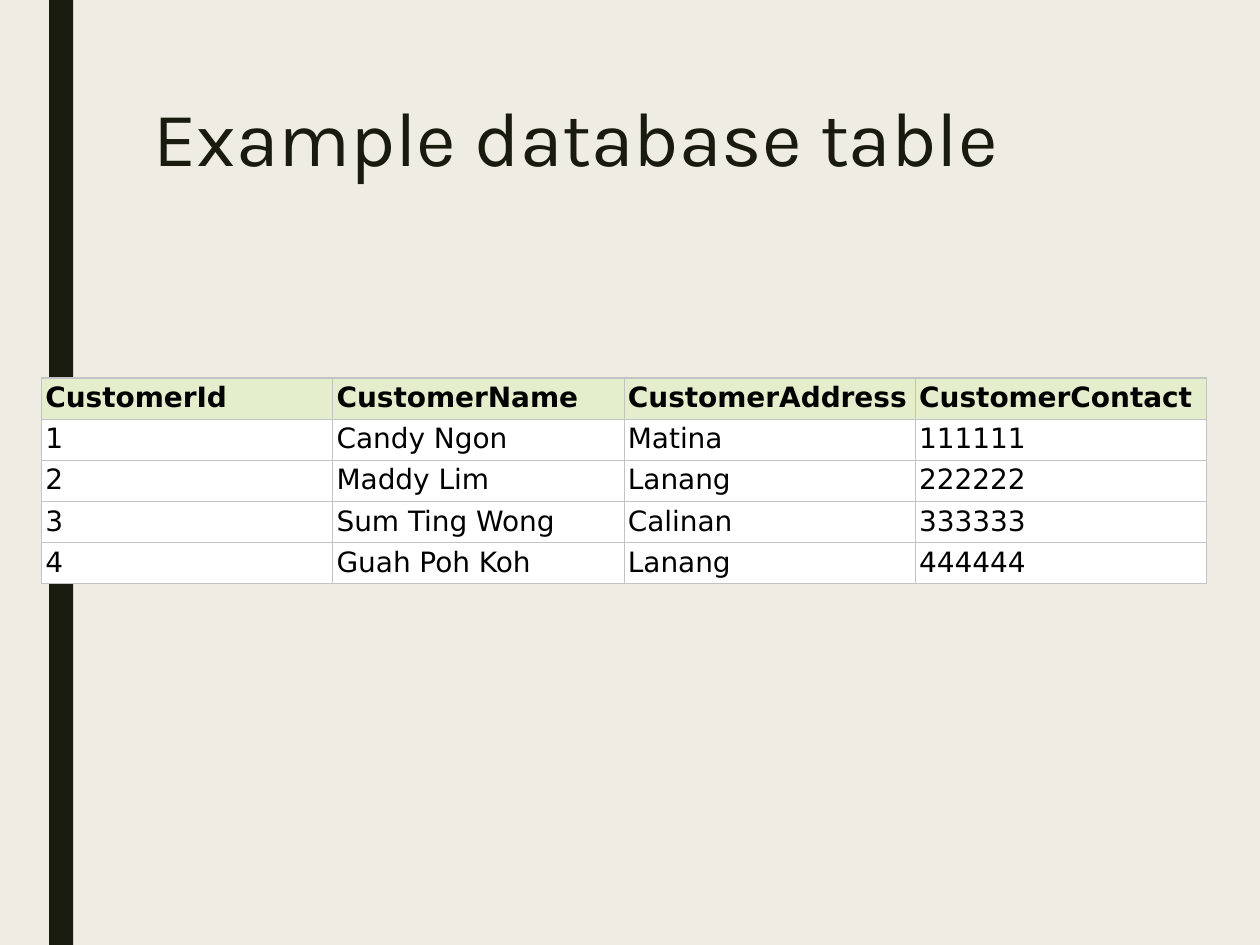
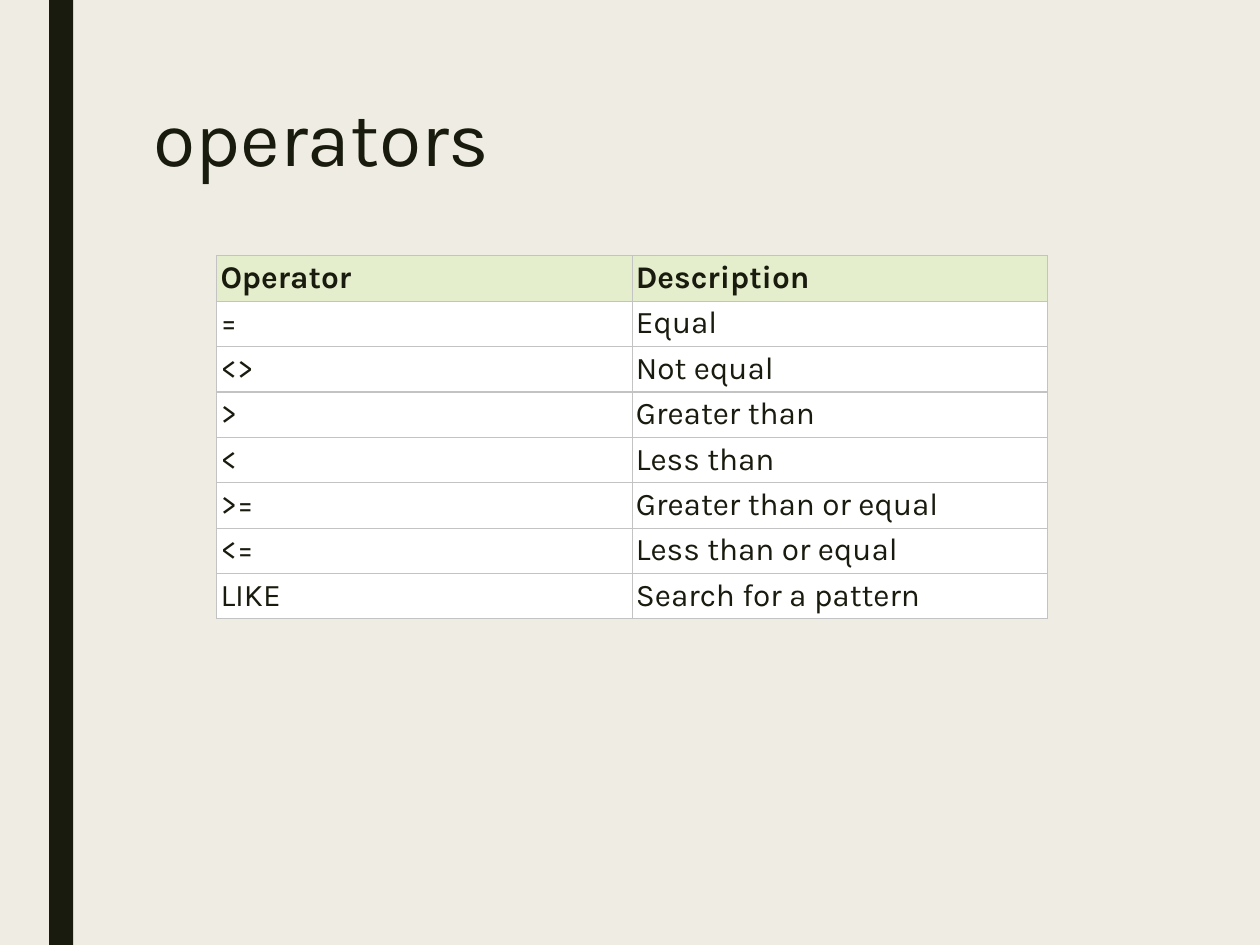
"""Builds two slides that show a database table and the SQL operators."""
from lxml.etree import SubElement
from pptx import Presentation
from pptx.dml.color import RGBColor
from pptx.enum.shapes import MSO_SHAPE as Shape
from pptx.enum.text import MSO_ANCHOR as Anchor
from pptx.oxml import parse_xml
from pptx.oxml.ns import nsdecls, qn
from pptx.util import Inches, Pt

PAPER = RGBColor(0xEF, 0xED, 0xE3)
INK = RGBColor(0x19, 0x1B, 0x0E)
BLACK = RGBColor(0x00, 0x00, 0x00)
WHITE = RGBColor(0xFF, 0xFF, 0xFF)
HEADER = RGBColor(0xE5, 0xEE, 0xCC)
BORDER = RGBColor(0xC3, 0xC3, 0xC3)

UNIT = Inches(0.1)
COLUMNS, ROWS = 100, 75
CELL_MARGIN = Inches(0.03)
BORDER_WIDTH = Pt(0.75)

CUSTOMERS = [
    ("CustomerId", "CustomerName", "CustomerAddress", "CustomerContact"),
    ("1", "Candy Ngon", "Matina", "111111"),
    ("2", "Maddy Lim", "Lanang", "222222"),
    ("3", "Sum Ting Wong", "Calinan", "333333"),
    ("4", "Guah Poh Koh", "Lanang", "444444"),
]
OPERATORS = [
    ("Operator", "Description"),
    ("=", "Equal"),
    ("<>", "Not equal"),
    (">", "Greater than"),
    ("<", "Less than"),
    (">=", "Greater than or equal"),
    ("<=", "Less than or equal"),
    ("LIKE", "Search for a pattern"),
]


def grid(*lengths):
    """Turn grid columns and rows into slide lengths."""
    return [round(length * UNIT) for length in lengths]


def apply(target, **values):
    """Set each format value on the target."""
    for name, value in values.items():
        setattr(target, name, value)


class Board:
    """Holds the deck style and the current slide."""

    def __init__(self):
        """Start a deck with the grid's size."""
        self.deck = Presentation()
        apply(self.deck, slide_width=COLUMNS * UNIT, slide_height=ROWS * UNIT)
        self.page = None

    def add_page(self, title):
        """Add a slide with background, side band and title."""
        self.page = self.deck.slides.add_slide(self.deck.slide_layouts[6])
        self.fill_solid(self.page.background, PAPER)
        self.add_band()
        self.add_title(title)

    def add_band(self):
        """Draw the dark band down the left side."""
        band = self.page.shapes.add_shape(Shape.RECTANGLE, *grid(3.9, 0, 1.9, ROWS))
        band.shadow.inherit = False
        self.fill_solid(band, INK)
        band.line.fill.background()

    def add_title(self, text):
        """Place the slide title."""
        box = self.page.shapes.add_textbox(*grid(11.2, 7.5, 78.8, 16.2))
        apply(box.text_frame, word_wrap=True, vertical_anchor=Anchor.TOP)
        para = box.text_frame.paragraphs[0]
        para.line_spacing = 0.89
        self.add_span(para, text, "Karla", 44, INK)

    def add_table(self, records, left, top, column, row, font, size, color):
        """Place a bordered table with a tinted header row."""
        count, width = len(records), len(records[0])
        frame = self.page.shapes.add_table(
            count, width, *grid(left, top, column * width, row * count))
        table = frame.table
        apply(table, first_row=False, horz_banding=False)
        for index, record in enumerate(records):
            for position, text in enumerate(record):
                cell = table.cell(index, position)
                apply(cell, margin_left=CELL_MARGIN, margin_right=CELL_MARGIN,
                      margin_top=CELL_MARGIN, margin_bottom=CELL_MARGIN)
                self.fill_solid(cell, WHITE if index else HEADER)
                self.add_borders(cell)
                self.add_span(cell.text_frame.paragraphs[0], text, font, size,
                              color, bold=index == 0)

    @staticmethod
    def fill_solid(target, color):
        """Give the target a solid fill."""
        target.fill.solid()
        target.fill.fore_color.rgb = color

    @staticmethod
    def add_span(para, text, font, size, color, bold=False):
        """Add one formatted span to a paragraph."""
        span = para.add_run()
        span.text = text
        apply(span.font, name=font, size=Pt(size), bold=bold)
        span.font.color.rgb = color

    @staticmethod
    def add_borders(cell):
        """Outline the four sides of a cell."""
        properties = cell._tc.get_or_add_tcPr()
        for order, side in enumerate(("lnL", "lnR", "lnT", "lnB")):
            line = parse_xml(f'<a:{side} {nsdecls("a")} w="{BORDER_WIDTH}"/>')
            paint = SubElement(line, qn("a:solidFill"))
            SubElement(paint, qn("a:srgbClr"), val=str(BORDER))
            properties.insert(order, line)


def main():
    """Build both slides and save the deck."""
    board = Board()
    board.add_page("Example database table")
    board.add_table(CUSTOMERS, left=3.3, top=30, column=23.12, row=3.2,
                    font="DejaVu Sans", size=16, color=BLACK)
    board.add_page("operators")
    board.add_table(OPERATORS, left=17.2, top=20.3, column=32.97, row=3.56,
                    font="Karla", size=18, color=INK)
    board.deck.save("out.pptx")


if __name__ == "__main__":
    main()
